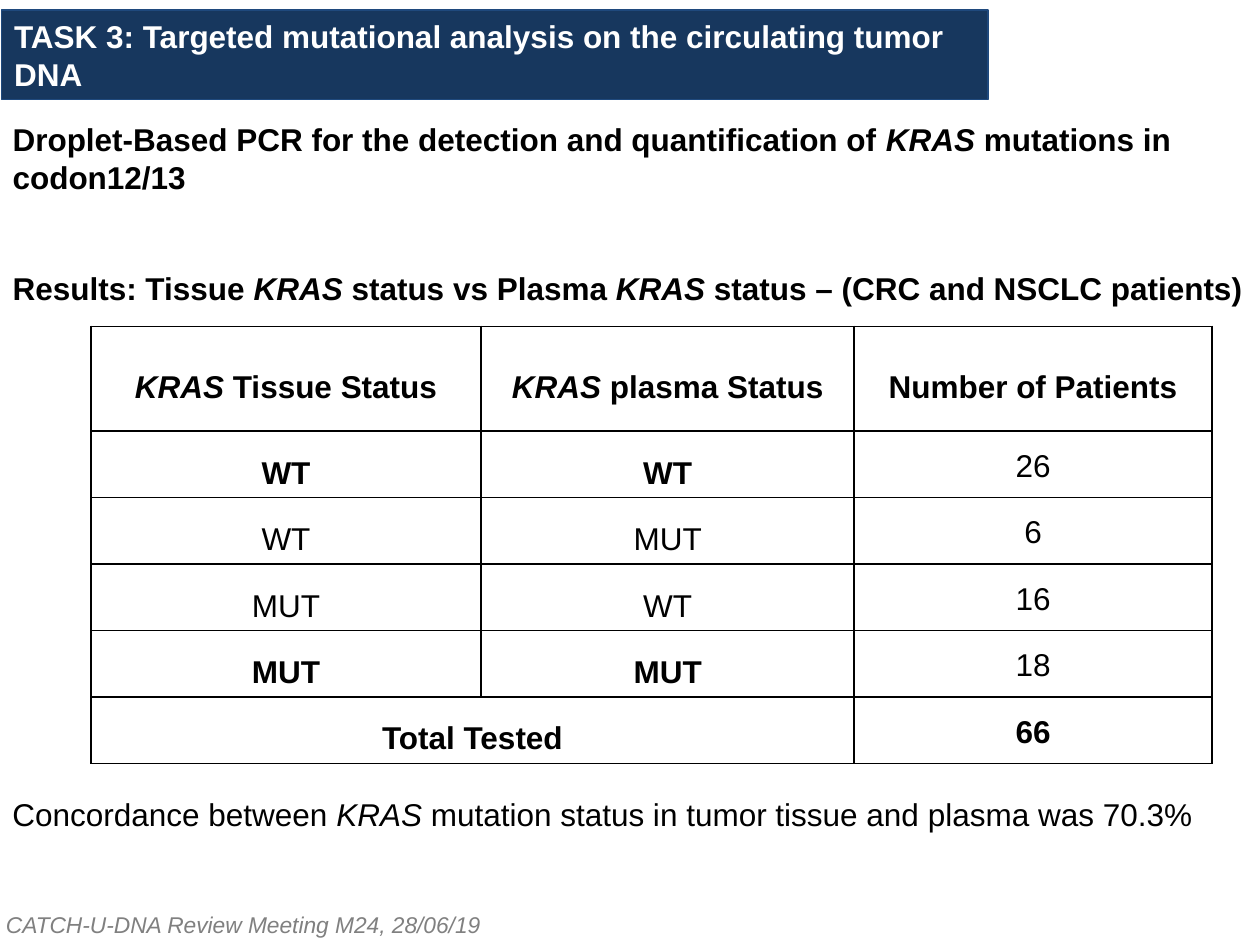
from lxml.etree import SubElement
from pptx import Presentation
from pptx.dml.color import RGBColor
from pptx.enum.text import MSO_ANCHOR, MSO_AUTO_SIZE, PP_ALIGN
from pptx.oxml.ns import qn
from pptx.util import Cm, Pt

NAVY = RGBColor(0x17, 0x37, 0x5E)
BLUE = RGBColor(0x1F, 0x49, 0x7D)
BLACK = RGBColor(0, 0, 0)
WHITE = RGBColor(255, 255, 255)
GRAY = RGBColor(0x80, 0x80, 0x80)

GENE = "KRAS"
TITLE = "TASK 3: Targeted mutational analysis on the circulating tumor DNA"
METHOD = "Droplet-Based PCR for the detection and quantification of KRAS mutations in codon12/13"
RESULTS = "Results: Tissue KRAS status vs Plasma KRAS status – (CRC and NSCLC patients)"
CONCLUSION = "Concordance between KRAS mutation status in tumor tissue and plasma was 70.3%"
FOOTER = "CATCH-U-DNA Review Meeting M24, 28/06/19"

HEADER = ("KRAS Tissue Status", "KRAS plasma Status", "Number of Patients")
COUNTS = [("WT", "WT", "26"), ("WT", "MUT", "6"), ("MUT", "WT", "16"), ("MUT", "MUT", "18")]
TOTAL = ("Total Tested", "", "66")
COLUMN_WIDTHS = (7.87, 7.52, 7.21)
HEADER_HEIGHT, ROW_HEIGHT = 2.11, 1.34


def place(shape, left, top, width, height):
    shape.left, shape.top, shape.width, shape.height = map(Cm, (left, top, width, height))


def write(paragraph, text, size=18, color=BLACK, bold=False, italic=False):
    """Fill a paragraph, setting every gene name in italics."""
    before, *after = text.split(GENE)
    parts = [before]
    for part in after:
        parts += [GENE, part]
    for part in filter(None, parts):
        run = paragraph.add_run()
        run.text = part
        font = run.font
        font.name, font.size, font.bold = "Arial", Pt(size), bold
        font.italic = italic or part == GENE
        font.color.rgb = color


def add_text(slide, box, text, wrap=True, **style):
    shape = slide.shapes.add_textbox(*map(Cm, box))
    shape.text_frame.word_wrap = wrap
    shape.text_frame.auto_size = MSO_AUTO_SIZE.SHAPE_TO_FIT_TEXT
    write(shape.text_frame.paragraphs[0], text, **style)


def add_borders(cell):
    properties = cell._tc.get_or_add_tcPr()
    for side in ("lnL", "lnR", "lnT", "lnB"):
        line = SubElement(properties, qn(f"a:{side}"), w=str(Pt(1)))
        fill = SubElement(line, qn("a:solidFill"))
        SubElement(fill, qn("a:srgbClr"), val=str(BLACK))


def add_title(slide):
    title = slide.shapes.title
    place(title, 0.03, 0.2, 19.89, 1.8)
    title.fill.solid()
    title.fill.fore_color.rgb = NAVY
    title.line.color.rgb = BLUE
    title.line.width = Pt(0.75)
    frame = title.text_frame
    frame.auto_size = MSO_AUTO_SIZE.NONE
    frame.vertical_anchor = MSO_ANCHOR.MIDDLE
    frame.paragraphs[0].alignment = PP_ALIGN.LEFT
    write(frame.paragraphs[0], TITLE, color=WHITE, bold=True)


def add_body(slide):
    body = slide.placeholders[1]
    place(body, 0, 2.29, 25.4, 7.65)
    frame = body.text_frame
    frame.auto_size = MSO_AUTO_SIZE.NONE
    method, results = frame.paragraphs[0], frame.add_paragraph()
    for paragraph, text, gap, spacing in ((method, METHOD, 0, 1), (results, RESULTS, 31, 1.5)):
        write(paragraph, text, bold=True)
        paragraph.space_before, paragraph.line_spacing = Pt(gap), spacing
        properties = paragraph._p.get_or_add_pPr()
        properties.set("marL", "0")
        properties.set("indent", "0")
        SubElement(properties, qn("a:buNone"))


def add_status_table(slide):
    rows = [HEADER, *COUNTS, TOTAL]
    heights = [HEADER_HEIGHT] + [ROW_HEIGHT] * (len(rows) - 1)
    table = slide.shapes.add_table(
        len(rows), len(HEADER), Cm(1.83), Cm(6.58), Cm(sum(COLUMN_WIDTHS)), Cm(sum(heights))
    ).table
    table.first_row = table.horz_banding = False
    for column, width in zip(table.columns, COLUMN_WIDTHS):
        column.width = Cm(width)
    for row, height in zip(table.rows, heights):
        row.height = Cm(height)
    table.cell(len(rows) - 1, 0).merge(table.cell(len(rows) - 1, 1))

    for r, values in enumerate(rows):
        concordant = values[0] == values[1]
        for c, value in enumerate(values):
            cell = table.cell(r, c)
            is_count = c == 2 and values is not HEADER
            add_borders(cell)
            cell.fill.background()
            cell.margin_left = cell.margin_right = Cm(0.18)
            cell.margin_top = cell.margin_bottom = 0
            cell.vertical_anchor = MSO_ANCHOR.TOP if is_count else MSO_ANCHOR.MIDDLE
            paragraph = cell.text_frame.paragraphs[0]
            paragraph.alignment = PP_ALIGN.CENTER
            paragraph.line_spacing, paragraph.space_after = 1.5, Pt(6)
            bold = values in (HEADER, TOTAL) or (concordant and not is_count)
            write(paragraph, value, bold=bold)


def main():
    presentation = Presentation()
    presentation.slide_width, presentation.slide_height = Cm(25.4), Cm(19.05)
    slide = presentation.slides.add_slide(presentation.slide_layouts[1])
    add_title(slide)
    add_body(slide)
    add_status_table(slide)
    add_text(slide, (0, 15.9, 25.4, 1.8), CONCLUSION)
    add_text(slide, (-0.13, 18.24, 10.21, 0.81), FOOTER, wrap=False, size=13, color=GRAY, italic=True)
    presentation.save("out.pptx")


if __name__ == "__main__":
    main()
